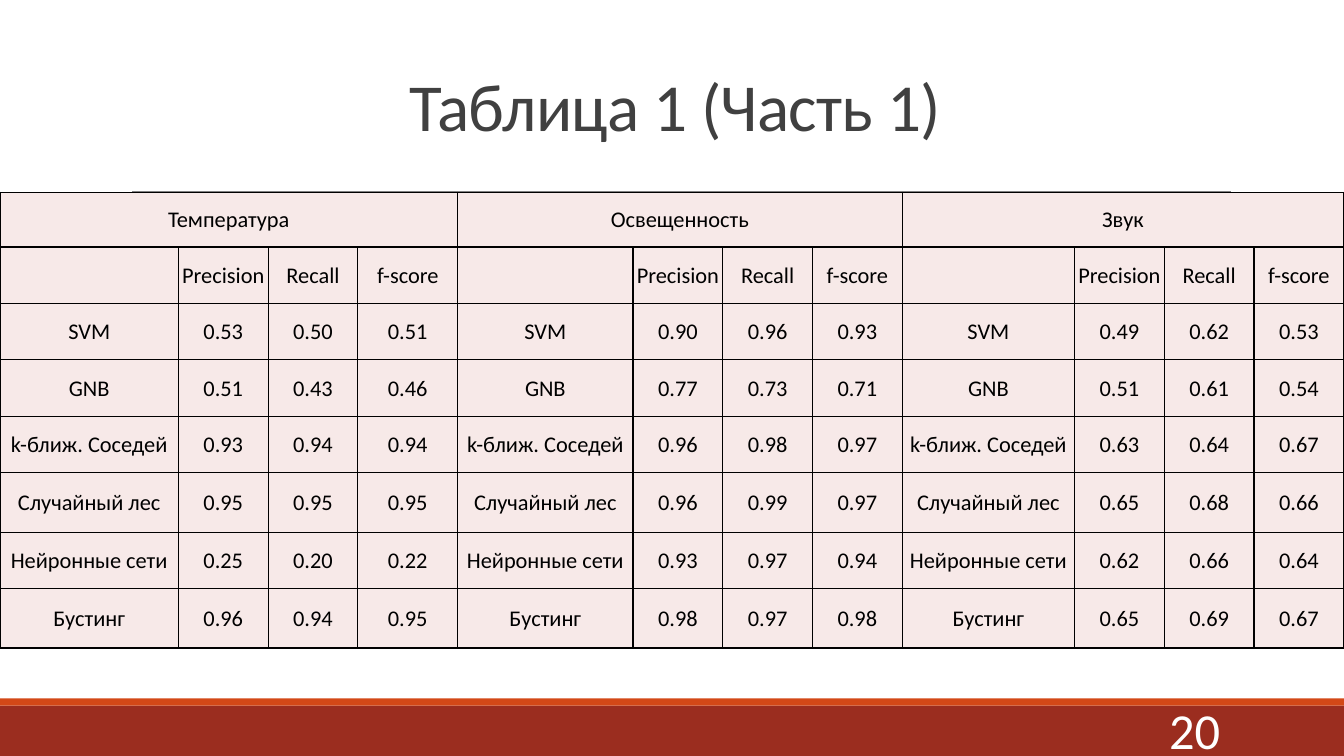
from dataclasses import dataclass

from lxml.etree import SubElement
from pptx import Presentation
from pptx.dml.color import RGBColor
from pptx.enum.shapes import MSO_CONNECTOR, MSO_SHAPE
from pptx.enum.text import MSO_ANCHOR, PP_ALIGN
from pptx.oxml.ns import qn
from pptx.util import Inches, Pt


@dataclass(frozen=True)
class Theme:
    font: str = "Calibri"
    title_size: int = 48
    number_size: int = 36
    table_size: int = 16
    title: str = "404040"
    ink: str = "000000"
    white: str = "FFFFFF"
    rule: str = "808080"
    footer: str = "9B2D1F"
    accent: str = "D34817"
    cell: str = "F7E9E8"


class SlideBuilder:
    def __init__(self, slide, theme):
        self.slide = slide
        self.theme = theme

    def bar(self, left, top, width, height, color):
        bar = self.slide.shapes.add_shape(
            MSO_SHAPE.RECTANGLE, Inches(left), Inches(top), Inches(width), Inches(height))
        bar.shadow.inherit = False
        bar.fill.solid()
        bar.fill.fore_color.rgb = RGBColor.from_string(color)
        bar.line.fill.background()

    def rule(self, left, right, y, color, weight):
        rule = self.slide.shapes.add_connector(
            MSO_CONNECTOR.STRAIGHT, Inches(left), Inches(y), Inches(right), Inches(y))
        rule.line.color.rgb = RGBColor.from_string(color)
        rule.line.width = Pt(weight)
        SubElement(rule._element.spPr, qn("a:effectLst"))

    def styled_run(self, frame, text, size, color, align):
        paragraph = frame.paragraphs[0]
        paragraph.alignment = align
        run = paragraph.add_run()
        run.text = text
        run.font.name = self.theme.font
        run.font.size = Pt(size)
        run.font.color.rgb = RGBColor.from_string(color)
        return paragraph, run

    def text(self, left, top, width, height, text, size, color, align,
             line_spacing=1.0, tracking=0):
        frame = self.slide.shapes.add_textbox(
            Inches(left), Inches(top), Inches(width), Inches(height)).text_frame
        frame.word_wrap = True
        frame.vertical_anchor = MSO_ANCHOR.MIDDLE
        paragraph, run = self.styled_run(frame, text, size, color, align)
        paragraph.line_spacing = line_spacing
        run._r.get_or_add_rPr().set("spc", str(round(tracking * 100)))

    def cell(self, cell, text):
        cell.vertical_anchor = MSO_ANCHOR.MIDDLE
        cell.margin_left = cell.margin_right = cell.margin_top = Inches(0.01)
        cell.margin_bottom = 0
        properties = cell._tc.get_or_add_tcPr()
        for side in ("lnL", "lnR", "lnT", "lnB"):
            border = SubElement(properties, qn(f"a:{side}"), w=str(int(Pt(1))))
            fill = SubElement(border, qn("a:solidFill"))
            SubElement(fill, qn("a:srgbClr"), val=self.theme.ink)
        cell.fill.solid()
        cell.fill.fore_color.rgb = RGBColor.from_string(self.theme.cell)
        if text:
            self.styled_run(cell.text_frame, text, self.theme.table_size,
                            self.theme.ink, PP_ALIGN.CENTER)

    def table(self, left, top, widths, heights, rows, group_size):
        table = self.slide.shapes.add_table(
            len(heights), len(widths), Inches(left), Inches(top),
            Inches(sum(widths)), Inches(sum(heights))).table
        table.first_row = table.horz_banding = False
        for column, width in zip(table.columns, widths):
            column.width = Inches(width)
        for row, height in zip(table.rows, heights):
            row.height = Inches(height)
        for r, values in enumerate(rows):
            for c, value in enumerate(values):
                self.cell(table.cell(r, c), value)
        for start in range(0, len(widths), group_size):
            table.cell(0, start).merge(table.cell(0, start + group_size - 1))


METRICS = ["Precision", "Recall", "f-score"]
SENSORS = ["Температура", "Освещенность", "Звук"]
SCORES = {
    "SVM": ["0.53 0.50 0.51", "0.90 0.96 0.93", "0.49 0.62 0.53"],
    "GNB": ["0.51 0.43 0.46", "0.77 0.73 0.71", "0.51 0.61 0.54"],
    "k-ближ. Соседей": ["0.93 0.94 0.94", "0.96 0.98 0.97", "0.63 0.64 0.67"],
    "Случайный лес": ["0.95 0.95 0.95", "0.96 0.99 0.97", "0.65 0.68 0.66"],
    "Нейронные сети": ["0.25 0.20 0.22", "0.93 0.97 0.94", "0.62 0.66 0.64"],
    "Бустинг": ["0.96 0.94 0.95", "0.98 0.97 0.98", "0.65 0.69 0.67"],
}

sensor_row = [label for sensor in SENSORS for label in (sensor, "", "", "")]
metric_row = ["", *METRICS] * len(SENSORS)
score_rows = [
    [value for scores in groups for value in (method, *scores.split())]
    for method, groups in SCORES.items()
]
column_widths = [1.77, 0.89, 0.89, 0.99, 1.74, 0.89, 0.89, 0.89, 1.71, 0.89, 0.89, 0.89]
row_heights = [0.54, 0.56, 0.56, 0.56, 0.56, 0.59, 0.56, 0.59]

deck = Presentation()
deck.slide_width = Inches(13.33)
deck.slide_height = Inches(7.5)
theme = Theme()
page = SlideBuilder(deck.slides.add_slide(deck.slide_layouts[6]), theme)

page.bar(0, 7, 13.33, 0.5, theme.footer)
page.bar(0, 6.93, 13.33, 0.07, theme.accent)
page.rule(1.31, 12.21, 1.9, theme.rule, 0.5)
page.text(1.2, 0.31, 11, 1.59, "Таблица 1 (Часть 1)", theme.title_size, theme.title,
          PP_ALIGN.CENTER, line_spacing=0.85, tracking=-0.5)
page.table(0, 1.91, column_widths, row_heights,
           [sensor_row, metric_row, *score_rows], 1 + len(METRICS))
page.text(10.77, 7.04, 1.43, 0.4, "20", theme.number_size, theme.white, PP_ALIGN.RIGHT)

deck.save("out.pptx")
